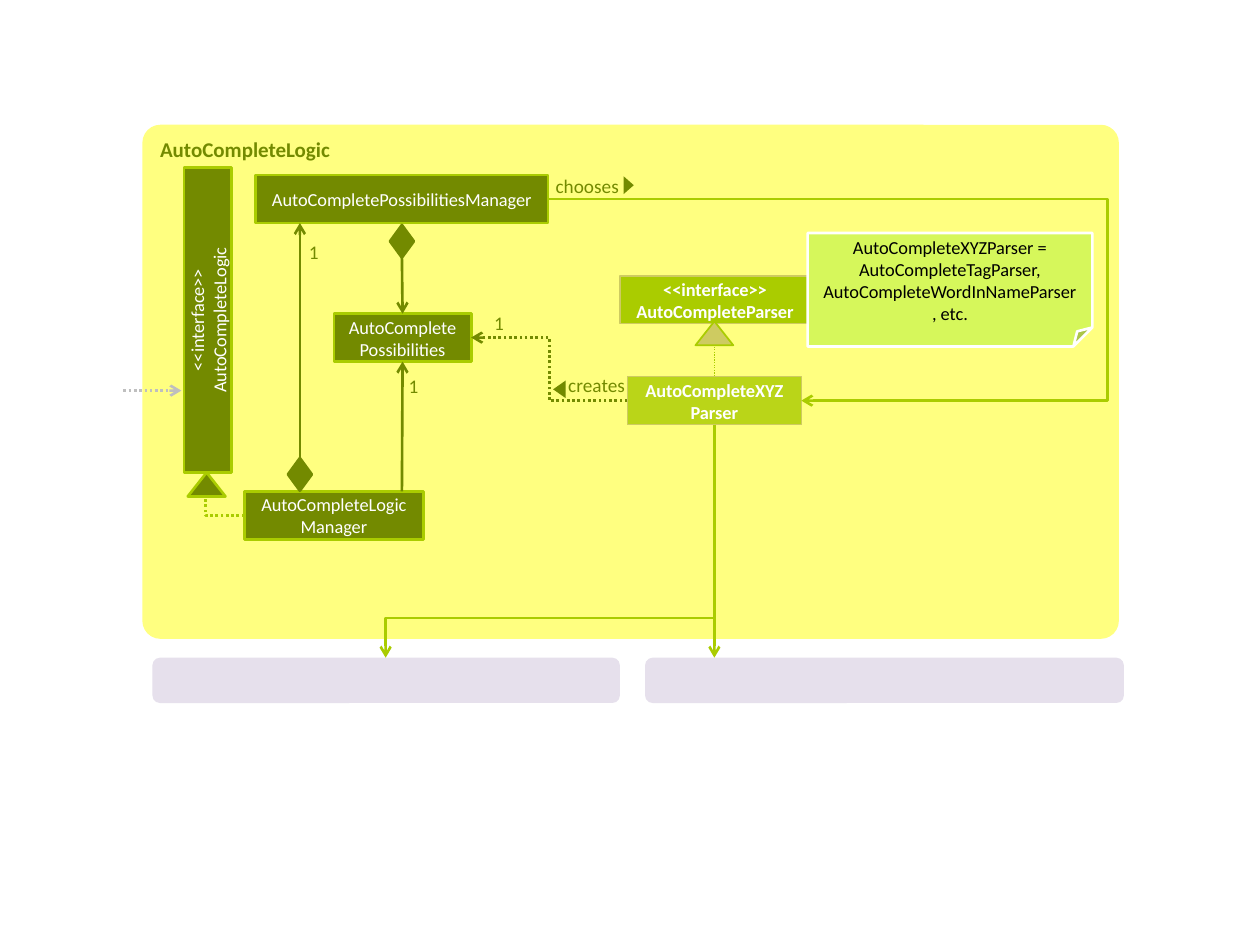
from dataclasses import dataclass

from lxml.etree import SubElement
from pptx import Presentation
from pptx.dml.color import RGBColor
from pptx.enum.dml import MSO_LINE as Dash
from pptx.enum.shapes import MSO_CONNECTOR as Link, MSO_SHAPE as Shape
from pptx.enum.text import MSO_ANCHOR as Anchor, PP_ALIGN as Align
from pptx.oxml.ns import qn
from pptx.util import Emu, Pt

PX = 9144


@dataclass(frozen=True)
class Theme:
    """Colours, font and type sizes of the diagram."""
    font: str = "Calibri"
    panel: str = "FFFF80"
    dark: str = "738A00"
    lime: str = "AACC00"
    sand: str = "CECB61"
    note: str = "D6F75B"
    lilac: str = "E6E0EC"
    grey: str = "BFBFBF"
    white: str = "FFFFFF"
    black: str = "000000"
    heading: float = 12
    label: float = 11
    body: float = 10.5
    stroke: float = 1.5
    thin: float = 0.75


T = Theme()


def px(value):
    """Turn px into EMU."""
    return Emu(round(value * PX))


def write(frame, lines, size, color, bold=False, align=Align.CENTER):
    """Fill a text frame with one paragraph per line."""
    frame.word_wrap = True
    for index, line in enumerate(lines):
        paragraph = frame.add_paragraph() if index else frame.paragraphs[0]
        paragraph.alignment = align
        run = paragraph.add_run()
        run.text = line
        run.font.name, run.font.size, run.font.bold = T.font, Pt(size), bold
        run.font.color.rgb = RGBColor.from_string(color)


def draw(slide, box, kind, place, fill, line=None, width=T.stroke, turn=0):
    """Add a preset shape at a place relative to the box."""
    left, top, wide, high = place
    shape = slide.shapes.add_shape(
        kind, px(box[0] + left), px(box[1] + top), px(wide), px(high))
    shape.shadow.inherit = False
    shape.rotation = turn
    shape.fill.solid()
    shape.fill.fore_color.rgb = RGBColor.from_string(fill)
    if line:
        shape.line.color.rgb = RGBColor.from_string(line)
        shape.line.width = Pt(width)
    else:
        shape.line.fill.background()
    return shape


def class_box(slide, box, place, lines, fill=T.dark, line=T.lime,
              width=T.stroke, bold=False, turn=0):
    """Add a class rectangle with its centred name."""
    shape = draw(slide, box, Shape.RECTANGLE, place, fill, line, width, turn)
    shape.text_frame.vertical_anchor = Anchor.MIDDLE
    write(shape.text_frame, lines, T.body, T.white, bold)
    return shape


def label(slide, box, place, text, align=Align.LEFT):
    """Add a small label without margins."""
    left, top, wide, high = place
    frame = slide.shapes.add_textbox(
        px(box[0] + left), px(box[1] + top), px(wide), px(high)).text_frame
    frame.margin_left = frame.margin_right = 0
    frame.margin_top = frame.margin_bottom = 0
    write(frame, [text], T.label, T.dark, align=align)


def connect(slide, box, start, end, color, width=T.stroke, dotted=False,
            arrow=True, begin=None, finish=None, bend=None, preset=None, turn=0):
    """Add a connector; begin and finish are (shape, side) joints."""
    kind = Link.ELBOW if bend or preset else Link.STRAIGHT
    link = slide.shapes.add_connector(
        kind, px(box[0] + start[0]), px(box[1] + start[1]),
        px(box[0] + end[0]), px(box[1] + end[1]))
    if begin:
        link.begin_connect(*begin)
    if finish:
        link.end_connect(*finish)
    link.line.color.rgb = RGBColor.from_string(color)
    link.line.width = Pt(width)
    if dotted:
        link.line.dash_style = Dash.ROUND_DOT
    properties = link.element.spPr
    if arrow:
        SubElement(properties.find(qn("a:ln")), qn("a:tailEnd"), type="arrow")
    SubElement(properties, qn("a:effectLst"))
    geometry = properties.find(qn("a:prstGeom"))
    if preset:
        geometry.set("prst", preset)
    if bend:
        SubElement(geometry.find(qn("a:avLst")), qn("a:gd"),
                   name="adj1", fmla=f"val {round(bend * 100000)}")
    if turn:
        properties.find(qn("a:xfrm")).set("rot", str(turn * 60000))


def add_panel(slide, box):
    """Draw the component background and its heading."""
    panel = draw(slide, box, Shape.ROUNDED_RECTANGLE, (0, 0, *box[2:]), T.panel)
    panel.adjustments[0] = 0.035
    panel.text_frame.vertical_anchor = Anchor.TOP
    write(panel.text_frame, ["AutoCompleteLogic"], T.heading, T.dark, True, Align.LEFT)


def add_managers(slide, box):
    """Draw the manager classes and return those that link to parsers."""
    chooser = class_box(slide, box, (90, 40, 232, 38), ["AutoCompletePossibilitiesManager"])
    manager = class_box(slide, box, (81, 291, 142, 38), ["AutoCompleteLogicManager"])
    class_box(slide, box, (-69, 136, 242, 38),
              ["<<interface>>", "AutoCompleteLogic"], turn=270)
    possibilities = class_box(slide, box, (152, 150, 109, 38), ["AutoCompletePossibilities"])
    draw(slide, box, Shape.ISOSCELES_TRIANGLE, (36, 276, 30, 19), T.dark, T.lime)
    connect(slide, box, (81, 310), (50, 295), T.lime, dotted=True, arrow=False,
            begin=(manager, 1), preset="bentConnector2")
    connect(slide, box, (-15, 211), (31, 211), T.grey, dotted=True)
    connect(slide, box, (206, 291), (206, 188), T.dark, finish=(possibilities, 2))
    connect(slide, box, (125, 264), (125, 78), T.dark)
    connect(slide, box, (206, 105), (206, 150), T.dark, finish=(possibilities, 0))
    for left, top in ((112, 268), (193, 83)):
        draw(slide, box, Shape.FLOWCHART_DECISION, (left, top, 26, 19),
             T.dark, T.dark, turn=270)
    for place in ((205, 198, 14, 25), (120, 92, 20, 5), (273, 148, 14, 25)):
        label(slide, box, place, "1", Align.RIGHT)
    return chooser, possibilities


def add_parsers(slide, box):
    """Draw the parser classes with their note and return the parser."""
    class_box(slide, box, (0, 34, 151, 38), ["<<interface>>", "AutoCompleteParser"],
              T.lime, T.sand, T.thin, True)
    draw(slide, box, Shape.ISOSCELES_TRIANGLE, (60, 70, 30, 19), T.sand, T.lime, 1)
    parser = class_box(slide, box, (6, 114, 138, 38), ["AutoCompleteXYZ", "Parser"],
                       T.lime, T.sand, T.thin, True)
    color = parser.element.spPr.find(qn("a:solidFill"))[0]
    SubElement(color, qn("a:alpha"), val="81000")
    connect(slide, box, (75, 90), (75, 114), T.lime, T.thin, True, False,
            finish=(parser, 0))
    note = draw(slide, box, Shape.FOLDED_CORNER, (149, 0, 226, 90), T.note, T.white)
    note.text_frame.vertical_anchor = Anchor.MIDDLE
    write(note.text_frame, ["AutoCompleteXYZParser = AutoCompleteTagParser,",
                            "AutoCompleteWordInNameParser , etc."], T.body, T.black)
    return parser


def add_externals(slide, box):
    """Draw the neighbouring components below the panel."""
    for left, wide in ((0, 371), (391, 380)):
        draw(slide, box, Shape.ROUNDED_RECTANGLE, (left, 0, wide, box[3]), T.lilac)


def add_links(slide, box, chooser, possibilities, parser):
    """Join managers, parser and neighbouring components."""
    connect(slide, box, (322, 59), (523, 219), T.lime, bend=2.21,
            begin=(chooser, 3), finish=(parser, 3))
    connect(slide, box, (385, 219), (261, 169), T.dark, dotted=True, bend=0.5,
            begin=(parser, 1), finish=(possibilities, 3))
    connect(slide, box, (454, 238), (454, 423), T.lime, begin=(parser, 2))
    connect(slide, box, (231, 200), (416, 461), T.lime, bend=0.83, turn=90)
    for place, text, pointer, turn in (
            ((328, 39, 80, 25), "chooses", (379, 44, 14, 8), 90),
            ((338, 197, 61, 28), "creates", (324, 205, 14, 10), 270)):
        label(slide, box, place, text)
        draw(slide, box, Shape.ISOSCELES_TRIANGLE, pointer, T.dark, turn=turn)


def main():
    """Build the class diagram slide."""
    deck = Presentation()
    deck.slide_width, deck.slide_height = px(1000), px(750)
    slide = deck.slides.add_slide(deck.slide_layouts[6])
    panel = (113, 99, 775, 408)
    add_panel(slide, panel)
    add_externals(slide, (121, 522, 771, 36))
    chooser, possibilities = add_managers(slide, panel)
    parser = add_parsers(slide, (492, 185, 375, 190))
    add_links(slide, panel, chooser, possibilities, parser)
    deck.save("out.pptx")


if __name__ == "__main__":
    main()
